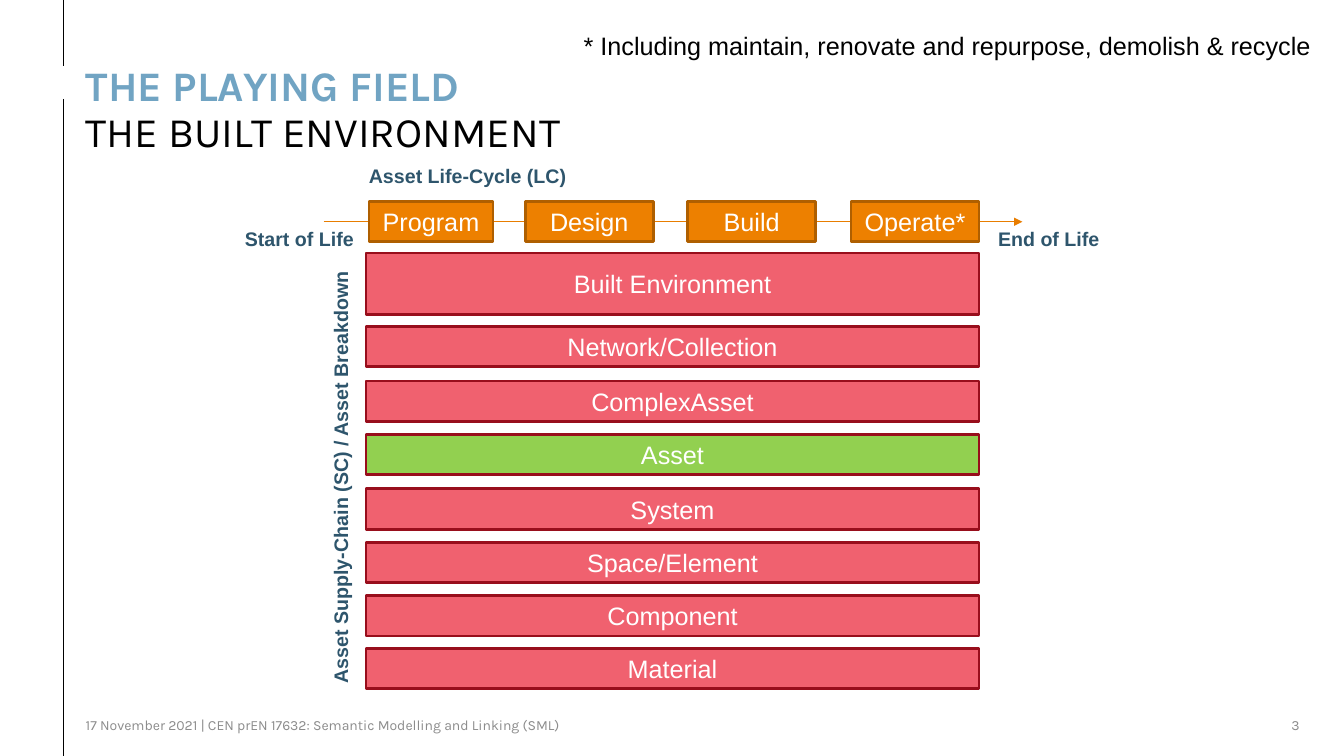
import pptx
import pptx.util
import pptx.dml.color
import pptx.enum.shapes
import pptx.enum.text
import pptx.oxml

Inches, Pt = pptx.util.Inches, pptx.util.Pt
RGBColor = pptx.dml.color.RGBColor
ALIGN = pptx.enum.text.PP_ALIGN
ANCHOR = pptx.enum.text.MSO_ANCHOR
KIND = pptx.enum.shapes.MSO_SHAPE
LINE = pptx.enum.shapes.MSO_CONNECTOR

BLACK = RGBColor(0, 0, 0)
WHITE = RGBColor(255, 255, 255)
BLUE = RGBColor(0x71, 0xA4, 0xC3)
NAVY = RGBColor(0x2E, 0x55, 0x6C)
GREY = RGBColor(0x8C, 0x8C, 0x8C)
ORANGE = RGBColor(0xED, 0x80, 0)
BROWN = RGBColor(0xAF, 0x5F, 0)
AMBER = RGBColor(0xE8, 0x7D, 0)
PINK = RGBColor(0xF0, 0x61, 0x6F)
RED = RGBColor(0x98, 0x0E, 0x1C)
GREEN = RGBColor(0x92, 0xD0, 0x50)

# Content
TITLE = "THE PLAYING FIELD"
SUB = "THE BUILT ENVIRONMENT"
NOTE = "* Including maintain, renovate and repurpose, demolish & recycle"
FOOT = "17 November 2021 | CEN prEN 17632: Semantic Modelling and Linking (SML)"
PAGE = "3"
STAGES = [  # text, left, width
    ("Program", 3.66, 1.23),
    ("Design", 5.21, 1.27),
    ("Build", 6.82, 1.27),
    ("Operate*", 8.44, 1.27),
]
LEVELS = [  # text, top, height, fill
    ("Built Environment", 2.51, 0.61, PINK),
    ("Network/Collection", 3.24, 0.4, PINK),
    ("ComplexAsset", 3.78, 0.4, PINK),
    ("Asset", 4.31, 0.4, GREEN),
    ("System", 4.85, 0.4, PINK),
    ("Space/Element", 5.38, 0.4, PINK),
    ("Component", 5.91, 0.4, PINK),
    ("Material", 6.43, 0.4, PINK),
]
LABELS = [  # text, left, top, width, turn
    ("Asset Life-Cycle (LC)", 3.56, 1.58, 2.17, 0),
    ("Start of Life", 2.33, 2.2, 1.34, 0),
    ("End of Life", 9.8, 2.2, 1.21, 0),
    ("Asset Supply-Chain (SC) / Asset Breakdown", 1.16, 4.49, 4.44, 270),
]

deck = pptx.Presentation()
deck.slide_width, deck.slide_height = Inches(13.33), Inches(7.5)
slide = deck.slides.add_slide(deck.slide_layouts[5])
shapes = slide.shapes


def place(*box):
    return [Inches(n) for n in box]


def write(shape, text, size, color, face="Arial", bold=False):
    shape.text_frame.text = text
    par = shape.text_frame.paragraphs[0]
    par.font.name, par.font.size, par.font.bold = face, Pt(size), bold
    par.font.color.rgb = color
    return par


def label(text, box, size, color, face="Arial", bold=False, wrap=False,
          inset=True, anchor=ANCHOR.TOP):
    item = shapes.add_textbox(*place(*box))
    frame = item.text_frame
    frame.word_wrap, frame.vertical_anchor = wrap, anchor
    if not inset:
        clear(frame)
    write(item, text, size, color, face, bold)
    return item


def clear(frame):
    frame.margin_left = frame.margin_right = 0
    frame.margin_top = frame.margin_bottom = 0


def block(text, box, fill, edge):
    item = shapes.add_shape(KIND.RECTANGLE, *place(*box))
    item.shadow.inherit = False
    item.fill.solid()
    item.fill.fore_color.rgb = fill
    item.line.color.rgb, item.line.width = edge, Pt(2)
    item.text_frame.vertical_anchor = ANCHOR.MIDDLE
    write(item, text, 18, WHITE).alignment = ALIGN.CENTER


def rule(ends, color, width):
    item = shapes.add_connector(LINE.STRAIGHT, *place(*ends))
    item.line.color.rgb, item.line.width = color, Pt(width)
    props = item._element.spPr
    props.append(props.makeelement(pptx.oxml.ns.qn("a:effectLst"), {}))
    return item


# Margin line, broken beside the title
for top, end in [(0, 0.65), (0.98, 7.5)]:
    rule((0.63, top, 0.63, end), BLACK, 0.57)

# Headings
title = shapes.title
title.left, title.top, title.width, title.height = place(0.85, 0.65, 11.84, 0.32)
clear(title.text_frame)
title.text_frame.vertical_anchor = ANCHOR.TOP
title.text_frame.auto_size = pptx.enum.text.MSO_AUTO_SIZE.NONE
head = write(title, TITLE, 30, BLUE, "Karla", True)
head.alignment, head.line_spacing = ALIGN.LEFT, 0.9
label(SUB, (0.85, 1.05, 11.84, 0.38), 30, BLACK, "Karla", wrap=True, inset=False)
label(NOTE, (5.69, 0.25, 7.48, 0.4), 18, BLACK)

# Life-cycle arrow and stages
life = rule((3.21, 2.2, 10.14, 2.2), AMBER, 0.75)
stroke = life.line._get_or_add_ln()
stroke.append(stroke.makeelement(pptx.oxml.ns.qn("a:tailEnd"), {"type": "triangle"}))
for text, left, width in STAGES:
    block(text, (left, 2, width, 0.4), ORANGE, BROWN)

# Asset breakdown
for text, top, height, fill in LEVELS:
    block(text, (3.63, top, 6.08, height), fill, RED)

# Axis labels
for text, left, top, width, turn in LABELS:
    label(text, (left, top, width, 0.34), 14, NAVY, bold=True).rotation = turn

# Footer
label(FOOT, (0.85, 7.09, 5.82, 0.2), 10, GREY, "Karla", wrap=True,
      inset=False, anchor=ANCHOR.MIDDLE)
label(PAGE, (12.71, 7.09, 0.46, 0.2), 10, GREY, "Karla", wrap=True,
      anchor=ANCHOR.MIDDLE)

deck.save("out.pptx")
